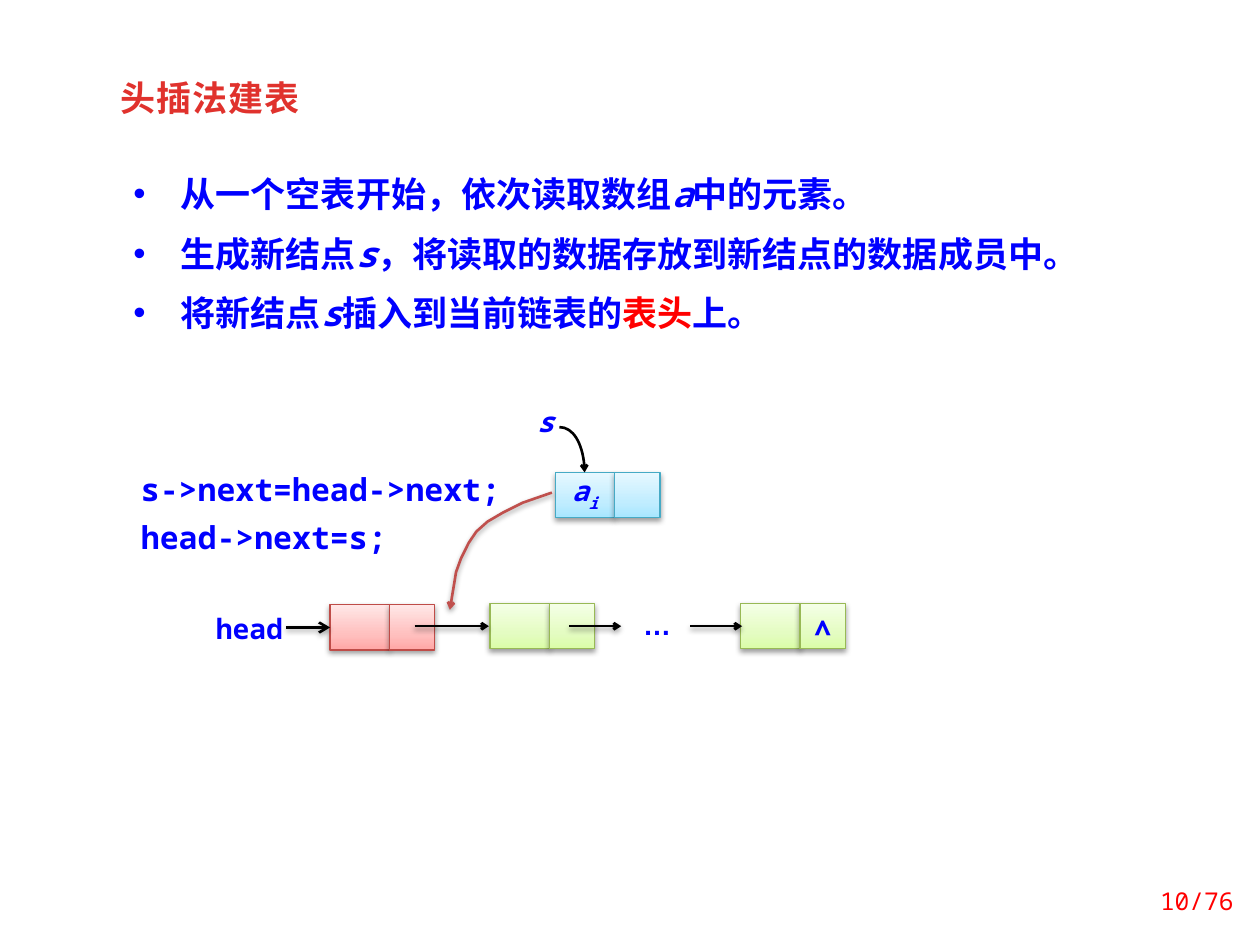
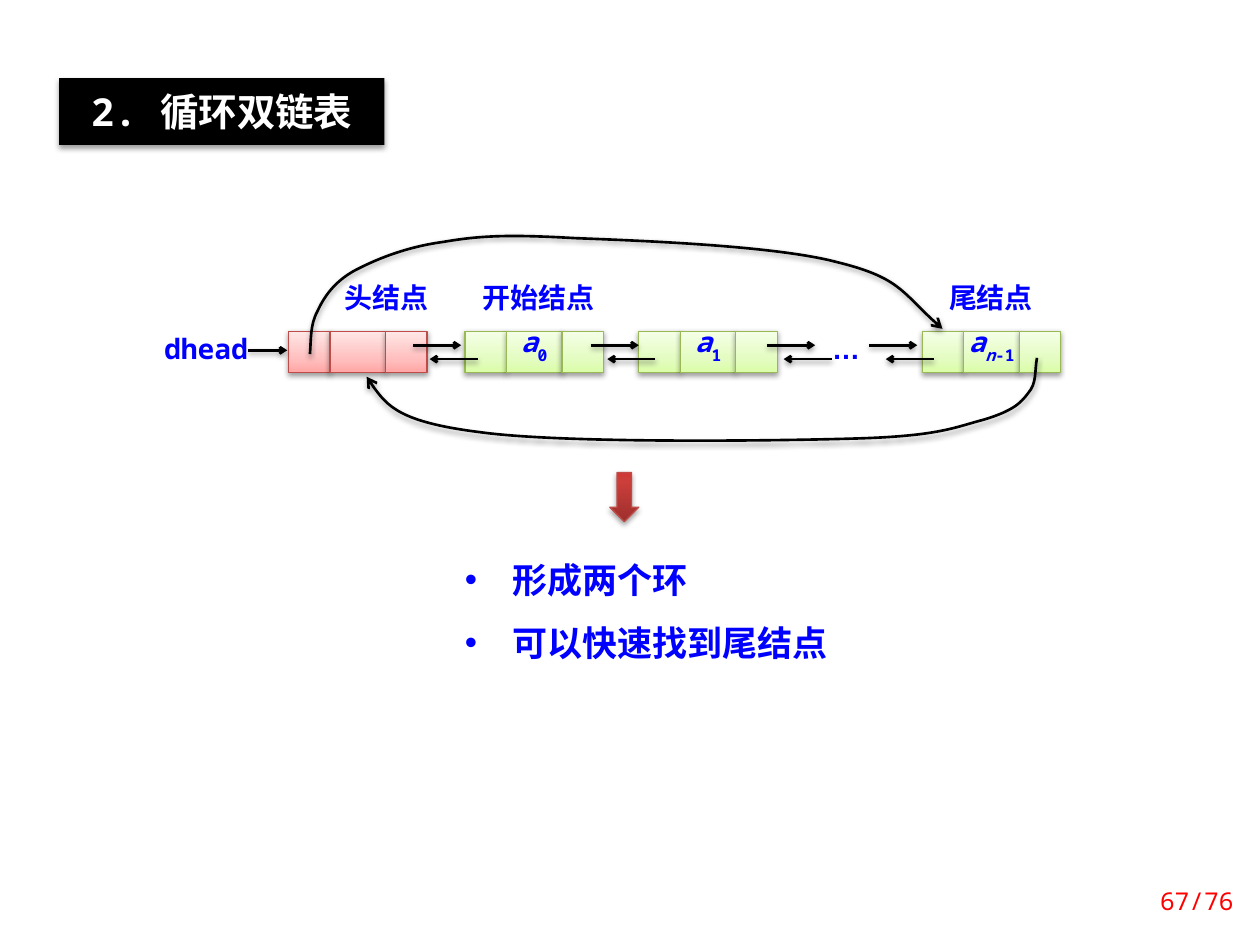
from dataclasses import dataclass

from lxml.etree import SubElement
from pptx import Presentation
from pptx.dml.color import RGBColor
from pptx.enum.shapes import MSO_CONNECTOR as Connector, MSO_SHAPE as Preset
from pptx.enum.text import MSO_ANCHOR as Anchor, PP_ALIGN as Align
from pptx.oxml.ns import qn
from pptx.util import Emu, Pt

EMU_PER_PX = 9144  # 100 px to the inch


@dataclass(frozen=True)
class Palette:
    stops: tuple
    border: str


@dataclass(frozen=True)
class Theme:
    mono: str = "Noto Sans Mono"
    chinese: str = "Noto Sans CJK SC"
    symbol: str = "Arial"
    white: str = "FFFFFF"
    black: str = "000000"
    blue: str = "0000FF"
    red: str = "FF0000"
    title: str = "E0322D"
    link: str = "C0504D"
    head: Palette = Palette(((0, "FFA6A5"), (35, "FFC0BF"), (100, "FFE7E7")), "BF4C48")
    data: Palette = Palette(((0, "DAFDA7"), (35, "E4FCC2"), (100, "F5FFE7")), "98B955")
    fresh: Palette = Palette(((0, "A7E6FF"), (35, "C1EDFF"), (100, "E7F8FF")), "46AAC5")
    result: Palette = Palette(((0, "9C2F2D"), (80, "CB3E3A"), (100, "CE3B37")), "BF4C48")
    banner_size: int = 22
    body_size: int = 20
    code_size: int = 18
    label_size: int = 16
    page_size: int = 14
    border_width: float = 0.75
    arrow_width: float = 1.5


THEME = Theme()


def px(length):
    return Emu(length * EMU_PER_PX)


def rgb(code):
    return RGBColor.from_string(code)


def cast_shadow(shape):
    properties = shape._element.spPr
    effects = properties.find(qn("a:effectLst"))
    if effects is None:
        effects = SubElement(properties, qn("a:effectLst"))
    outer = SubElement(effects, qn("a:outerShdw"), blurRad="40000", dist="20000",
                       dir="5400000", rotWithShape="0")
    color = SubElement(outer, qn("a:srgbClr"), val=THEME.black)
    SubElement(color, qn("a:alpha"), val="38000")


def add_bullet(paragraph):
    properties = paragraph._p.get_or_add_pPr()
    properties.set("marL", "342900")
    properties.set("indent", "-342900")
    SubElement(properties, qn("a:buFont"), typeface=THEME.symbol)
    SubElement(properties, qn("a:buChar"), char="•")


def style_run(run, marks, size, color, font, bold):
    """Format a run; marks may hold i (italic), _ (subscript) and r (red)."""
    run.font.size = Pt(size)
    run.font.bold = bold
    run.font.italic = "i" in marks
    run.font.color.rgb = rgb(THEME.red if "r" in marks else color)
    run.font.name = font
    properties = run._r.get_or_add_rPr()
    SubElement(properties, qn("a:ea"), typeface=THEME.chinese)
    if "_" in marks:
        properties.set("baseline", "-30000")


def write(shape, paragraphs, size, color=THEME.blue, font=THEME.mono, bold=True,
          align=Align.LEFT, anchor=Anchor.TOP, insets=(10, 5, 10, 5),
          bullets=False, gap=0, spacing=None):
    """Fill a shape with paragraphs, each a string or a list of (text, marks)."""
    frame = shape.text_frame
    frame.word_wrap = True
    frame.vertical_anchor = anchor
    (frame.margin_left, frame.margin_top,
     frame.margin_right, frame.margin_bottom) = map(px, insets)
    for index, content in enumerate(paragraphs):
        paragraph = frame.add_paragraph() if index else frame.paragraphs[0]
        if bullets:
            add_bullet(paragraph)
        paragraph.alignment = align
        if spacing:
            paragraph.line_spacing = spacing
        if index and gap:
            paragraph.space_before = Pt(gap)
        pieces = [(content, "")] if isinstance(content, str) else content
        for words, marks in pieces:
            run = paragraph.add_run()
            run.text = words
            style_run(run, marks, size, color, font, bold)


def add_text(slide, left, top, width, height, paragraphs, size, **options):
    box = slide.shapes.add_textbox(px(left), px(top), px(width), px(height))
    write(box, paragraphs, size, **options)
    return box


def add_plain(slide, left, top, width, height, fill):
    plate = slide.shapes.add_shape(Preset.RECTANGLE, px(left), px(top), px(width), px(height))
    plate.shadow.inherit = False
    plate.fill.solid()
    plate.fill.fore_color.rgb = rgb(fill)
    plate.line.fill.background()
    return plate


def add_label(slide, left, top, width, height, words, marks="", font=THEME.mono):
    label = add_plain(slide, left, top, width, height, THEME.white)
    write(label, [[(words, marks)]], THEME.label_size, font=font,
          align=Align.CENTER, insets=(0, 0, 0, 0))


def add_gradient_shape(slide, preset, left, top, width, height, palette):
    shape = slide.shapes.add_shape(preset, px(left), px(top), px(width), px(height))
    shape.shadow.inherit = False
    shape.fill.gradient()
    shape.fill.gradient_angle = 90
    stop_list = shape._element.spPr.find(".//" + qn("a:gsLst"))
    stop_list.clear()
    for position, color in palette.stops:
        stop = SubElement(stop_list, qn("a:gs"), pos=str(position * 1000))
        SubElement(stop, qn("a:srgbClr"), val=color)
    shape.line.color.rgb = rgb(palette.border)
    shape.line.width = Pt(THEME.border_width)
    cast_shadow(shape)
    return shape


def add_node(slide, left, top, height, widths, palette, contents=None, spacing=19):
    """Draw adjoining cells; contents maps a cell index to its text pieces."""
    for index, width in enumerate(widths):
        cell = add_gradient_shape(slide, Preset.RECTANGLE, left, top, width, height, palette)
        if contents and index in contents:
            write(cell, [contents[index]], THEME.label_size, align=Align.CENTER,
                  insets=(0, 0, 0, 0), spacing=Pt(spacing))
        left += width


def point_arrow(line, color, head):
    line.color.rgb = rgb(color)
    line.width = Pt(THEME.arrow_width)
    SubElement(line._get_or_add_ln(), qn("a:tailEnd"), type="arrow", w=head, len=head)


def add_arrow(slide, start, end, y, head="sm"):
    arrow = slide.shapes.add_connector(Connector.STRAIGHT, px(start), px(y), px(end), px(y))
    point_arrow(arrow.line, THEME.black, head)
    cast_shadow(arrow)


def bend(shape):
    """Turn every three line segments into one cubic curve."""
    segments = list(shape._element.iter(qn("a:lnTo")))
    for first in range(0, len(segments), 3):
        curve = SubElement(segments[first].getparent(), qn("a:cubicBezTo"))
        for segment in segments[first:first + 3]:
            curve.append(segment[0])
            segment.getparent().remove(segment)


def add_route(slide, points, color=THEME.black, head="sm", curved=True, shadow=True):
    builder = slide.shapes.build_freeform(*points[0], scale=EMU_PER_PX)
    builder.add_line_segments(points[1:], close=False)
    route = builder.convert_to_shape()
    if curved:
        bend(route)
    route.shadow.inherit = False
    route.fill.background()
    point_arrow(route.line, color, head)
    if shadow:
        cast_shadow(route)


def add_page_number(slide, number):
    add_text(slide, 898, 695, 91, 40, [f"{number}/76"], THEME.page_size, color=THEME.red,
             bold=False, align=Align.RIGHT, anchor=Anchor.MIDDLE)


def build_head_insertion(slide):
    title = add_text(slide, 86, 56, 188, 44, ["头插法建表"], THEME.body_size,
                     color=THEME.title, font=THEME.chinese)
    title.text_frame.paragraphs[0].runs[0]._r.get_or_add_rPr().set("spc", "50")

    steps = [
        [("从一个空表开始，依次读取数组", ""), ("a", "i"), ("中的元素。", "")],
        [("生成新结点", ""), ("s", "i"), ("，将读取的数据存放到新结点的数据成员中。", "")],
        [("将新结点", ""), ("s", "i"), ("插入到当前链表的", ""), ("表头", "r"), ("上。", "")],
    ]
    write(add_plain(slide, 86, 125, 797, 158, THEME.white), steps, THEME.body_size,
          insets=(20, 12, 10, 12), bullets=True, gap=10)
    add_text(slide, 102, 368, 312, 79, ["s->next=head->next;", "head->next=s;"],
             THEME.code_size, gap=6)

    cells = (47, 36)
    add_label(slide, 161, 485, 74, 29, "head")
    add_node(slide, 262, 480, 36, cells, THEME.head)
    add_node(slide, 389, 479, 36, cells, THEME.data)
    add_label(slide, 500, 482, 43, 29, "…", font=THEME.symbol)
    add_node(slide, 588, 479, 36, cells, THEME.data, {1: [("∧", "")]}, spacing=23)
    add_node(slide, 441, 375, 36, cells, THEME.fresh,
             {0: [("a", "i"), ("i", "i_")]}, spacing=23)
    add_label(slide, 422, 321, 22, 29, "s", "i")

    add_arrow(slide, 227, 262, 498, head="med")
    for start, end in ((329, 388), (452, 493), (548, 589)):
        add_arrow(slide, start, end, 497)
    add_route(slide, [(444, 339), (455, 339), (464, 355), (464, 375)], shadow=False)
    add_route(slide, [(438, 391), (415, 399), (399, 407), (387, 414), (378, 422),
                      (372, 431), (366, 443), (362, 454), (357, 484)],
              color=THEME.link, curved=False)
    add_page_number(slide, 10)


def build_circular_list(slide):
    banner = add_plain(slide, 47, 62, 258, 53, THEME.black)
    cast_shadow(banner)
    write(banner, ["2. 循环双链表"], THEME.banner_size, color=THEME.white,
          align=Align.CENTER, insets=(10, 8, 10, 8))

    for left, width, name in ((378, 99, "开始结点"), (746, 81, "尾结点"), (266, 81, "头结点")):
        add_label(slide, left, 223, width, 33, name)
    add_label(slide, 127, 263, 73, 33, "dhead")
    add_label(slide, 646, 263, 51, 33, "…", font=THEME.symbol)

    a = ("a", "i")
    nodes = (
        (229, THEME.head, None),
        (369, THEME.data, {1: [a, ("0", "_")]}),
        (507, THEME.data, {1: [a, ("1", "_")]}),
        (732, THEME.data, {1: [a, ("n", "i_"), ("-1", "_")]}),
    )
    for left, palette, contents in nodes:
        add_node(slide, left, 263, 33, (33, 44, 33), palette, contents)

    add_arrow(slide, 197, 228, 278)
    for start in (328, 469, 609, 690):
        add_arrow(slide, start, start + 38, 274)
        add_arrow(slide, start + 51, start + 13, 285)

    tail_to_head = [(823, 284), (821, 295), (823, 304), (816, 312), (810, 320), (804, 326),
                    (781, 333), (758, 339), (746, 346), (680, 348), (613, 350), (446, 352),
                    (381, 343), (317, 335), (303, 318), (291, 299)]
    head_to_tail = [(246, 281), (247, 269), (246, 258), (252, 247), (257, 236), (265, 224),
                    (281, 215), (298, 206), (322, 196), (352, 192), (381, 187), (404, 186),
                    (456, 189), (508, 191), (615, 195), (664, 208), (713, 220), (716, 233),
                    (748, 261)]
    for ring in (tail_to_head, head_to_tail):
        add_route(slide, ring, head="med")

    add_text(slide, 359, 422, 328, 105, ["形成两个环", "可以快速找到尾结点"],
             THEME.body_size, bullets=True, spacing=1.5)
    add_gradient_shape(slide, Preset.DOWN_ARROW, 484, 375, 23, 39, THEME.result)
    add_page_number(slide, 67)


def main():
    deck = Presentation()
    deck.slide_width, deck.slide_height = px(1000), px(750)
    blank = deck.slide_layouts[6]
    for build in (build_head_insertion, build_circular_list):
        build(deck.slides.add_slide(blank))
    deck.save("out.pptx")


if __name__ == "__main__":
    main()
